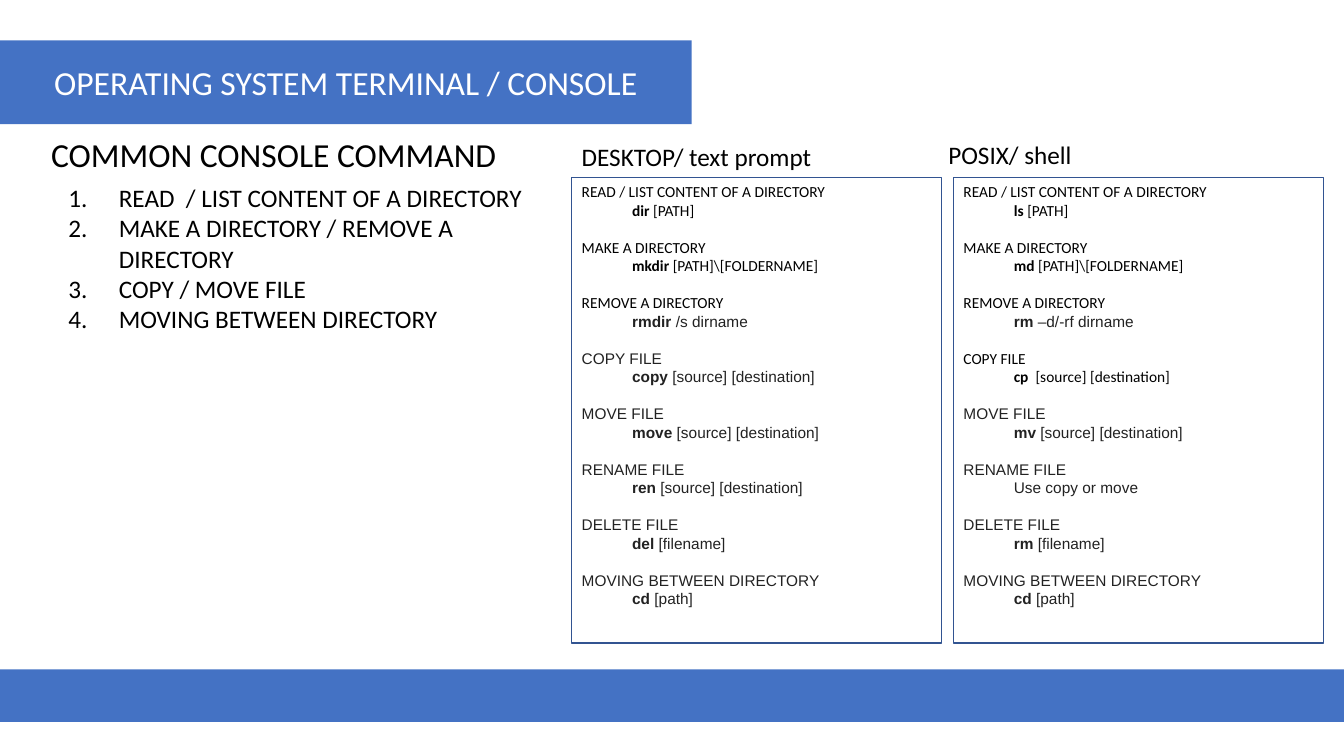
from dataclasses import dataclass

import pptx
import pptx.dml.color
import pptx.enum.shapes
import pptx.enum.text
import pptx.oxml
import pptx.oxml.ns
import pptx.util

Cm = pptx.util.Cm
Pt = pptx.util.Pt
ALIGN = pptx.enum.text.PP_ALIGN
ANCHOR = pptx.enum.text.MSO_ANCHOR


@dataclass(frozen=True)
class Theme:
    blue: str = "4472C4"
    border: str = "325491"
    white: str = "FFFFFF"
    black: str = "000000"
    charcoal: str = "222222"
    sans: str = "Calibri"
    code: str = "Arial"
    title_size: float = 24
    body_size: float = 18
    panel_size: float = 11
    panel_line: float = 13.2


@dataclass(frozen=True)
class Panel:
    label: str
    label_at: tuple
    left: float
    commands: list
    sans_tasks: set
    sans_commands: set


THEME = Theme()
PANEL_TOP, PANEL_WIDTH, PANEL_HEIGHT = 4.47, 9.32, 11.73

TOPICS = [
    "READ  / LIST CONTENT OF A DIRECTORY",
    "MAKE A DIRECTORY / REMOVE A DIRECTORY",
    "COPY / MOVE FILE",
    "MOVING BETWEEN DIRECTORY",
]
TASKS = [
    "READ / LIST CONTENT OF A DIRECTORY",
    "MAKE A DIRECTORY",
    "REMOVE A DIRECTORY",
    "COPY FILE",
    "MOVE FILE",
    "RENAME FILE",
    "DELETE FILE",
    "MOVING BETWEEN DIRECTORY",
]
PANELS = [
    Panel(
        "DESKTOP/ text prompt", (14.41, 3.43), 14.41,
        [
            ("dir", " [PATH]"),
            ("mkdir", " [PATH]\\[FOLDERNAME]"),
            ("rmdir", " /s dirname"),
            ("copy", " [source] [destination]"),
            ("move", " [source] [destination]"),
            ("ren", " [source] [destination]"),
            ("del", " [filename]"),
            ("cd", " [path]"),
        ],
        {0, 1, 2}, {0, 1},
    ),
    Panel(
        "POSIX/ shell", (23.65, 3.38), 24.03,
        [
            ("ls ", "[PATH]"),
            ("md", " [PATH]\\[FOLDERNAME]"),
            ("rm", " –d/-rf dirname"),
            ("cp", "  [source] [destination]"),
            ("mv", " [source] [destination]"),
            ("", "Use copy or move"),
            ("rm", " [filename]"),
            ("cd", " [path]"),
        ],
        {0, 1, 2, 3}, {0, 1, 3},
    ),
]


def rgb(value):
    return pptx.dml.color.RGBColor.from_string(value)


def paint(s, color):
    s.fill.solid()
    s.fill.fore_color.rgb = rgb(color)


def place(s, left, top, width, height):
    s.left, s.top, s.width, s.height = map(Cm, (left, top, width, height))


def style(p, size, color, face=THEME.sans):
    p.font.size = Pt(size)
    p.font.name = face
    p.font.color.rgb = rgb(color)


def setup_frame(s, anchor):
    tf = s.text_frame
    tf.word_wrap = True
    tf.auto_size = pptx.enum.text.MSO_AUTO_SIZE.NONE
    tf.vertical_anchor = anchor
    return tf


def next_paragraph(tf, index):
    return tf.add_paragraph() if index else tf.paragraphs[0]


def add_rect(slide, box, fill, border=None):
    s = slide.shapes.add_shape(
        pptx.enum.shapes.MSO_SHAPE.RECTANGLE, *map(Cm, box))
    s.shadow.inherit = False
    paint(s, fill)
    if border:
        s.line.color.rgb = rgb(border)
        s.line.width = Pt(1)
    else:
        s.line.fill.background()
    return s


def add_label(slide, text, box, size, align=ALIGN.LEFT):
    s = slide.shapes.add_textbox(*map(Cm, box))
    p = setup_frame(s, ANCHOR.MIDDLE).paragraphs[0]
    p.text = text
    p.alignment = align
    style(p, size, THEME.black)


def fill_title(s, text):
    place(s, 0, 1.02, 17.43, 2.11)
    paint(s, THEME.blue)
    p = setup_frame(s, ANCHOR.MIDDLE).paragraphs[0]
    p.text = text
    p.alignment = ALIGN.CENTER
    style(p, THEME.title_size, THEME.white)


def indent(p, margin, first=0):
    pPr = p._p.get_or_add_pPr()
    pPr.set("marL", str(Cm(margin)))
    pPr.set("indent", str(Cm(first)))
    return pPr


def fill_numbered_list(s, items):
    place(s, 1.47, 4.47, 12.93, 6.76)
    tf = setup_frame(s, ANCHOR.TOP)
    for i, item in enumerate(items):
        p = next_paragraph(tf, i)
        p.text = item
        p.space_before = Pt(0)
        style(p, THEME.body_size, THEME.black)
        number = pptx.oxml.parse_xml(
            '<a:buAutoNum %s type="arabicPeriod"/>' % pptx.oxml.ns.nsdecls("a"))
        pPr = indent(p, 1.27, -1.27)
        pPr.insert_element_before(number, "a:tabLst", "a:defRPr", "a:extLst")


def add_panel_line(tf, index, runs, sans, before=0):
    p = next_paragraph(tf, index)
    p.alignment = ALIGN.LEFT
    p.line_spacing = Pt(THEME.panel_line)
    p.space_before = Pt(before)
    face, color = ((THEME.sans, THEME.black) if sans
                   else (THEME.code, THEME.charcoal))
    style(p, THEME.panel_size, color, face)
    for text, bold in runs:
        if text:
            r = p.add_run()
            r.text = text
            r.font.bold = bold
    return p


def add_command_panel(slide, panel):
    box = (panel.left, PANEL_TOP, PANEL_WIDTH, PANEL_HEIGHT)
    tf = setup_frame(add_rect(slide, box, THEME.white, THEME.border), ANCHOR.TOP)
    for i, (task, (name, args)) in enumerate(zip(TASKS, panel.commands)):
        add_panel_line(tf, i, [(task, False)], i in panel.sans_tasks,
                       THEME.panel_line if i else 0)
        p = add_panel_line(tf, 1, [(name, True), (args, False)],
                           i in panel.sans_commands)
        p.level = 1
        indent(p, 1.27)
    add_label(slide, panel.label, (*panel.label_at, 9.6, 1.04), THEME.body_size)


def main():
    prs = pptx.Presentation()
    prs.slide_width, prs.slide_height = Cm(33.87), Cm(19.05)
    slide = prs.slides.add_slide(prs.slide_layouts[1])
    title, body = slide.placeholders
    fill_title(title, "OPERATING SYSTEM TERMINAL / CONSOLE")
    fill_numbered_list(body, TOPICS)
    add_rect(slide, (-0.05, 16.87, 33.96, 1.32), THEME.blue)
    add_label(slide, "COMMON CONSOLE COMMAND", (0.84, 2.84, 12.12, 2.11),
              THEME.title_size, ALIGN.CENTER)
    for panel in PANELS:
        add_command_panel(slide, panel)
    prs.save("out.pptx")


main()
